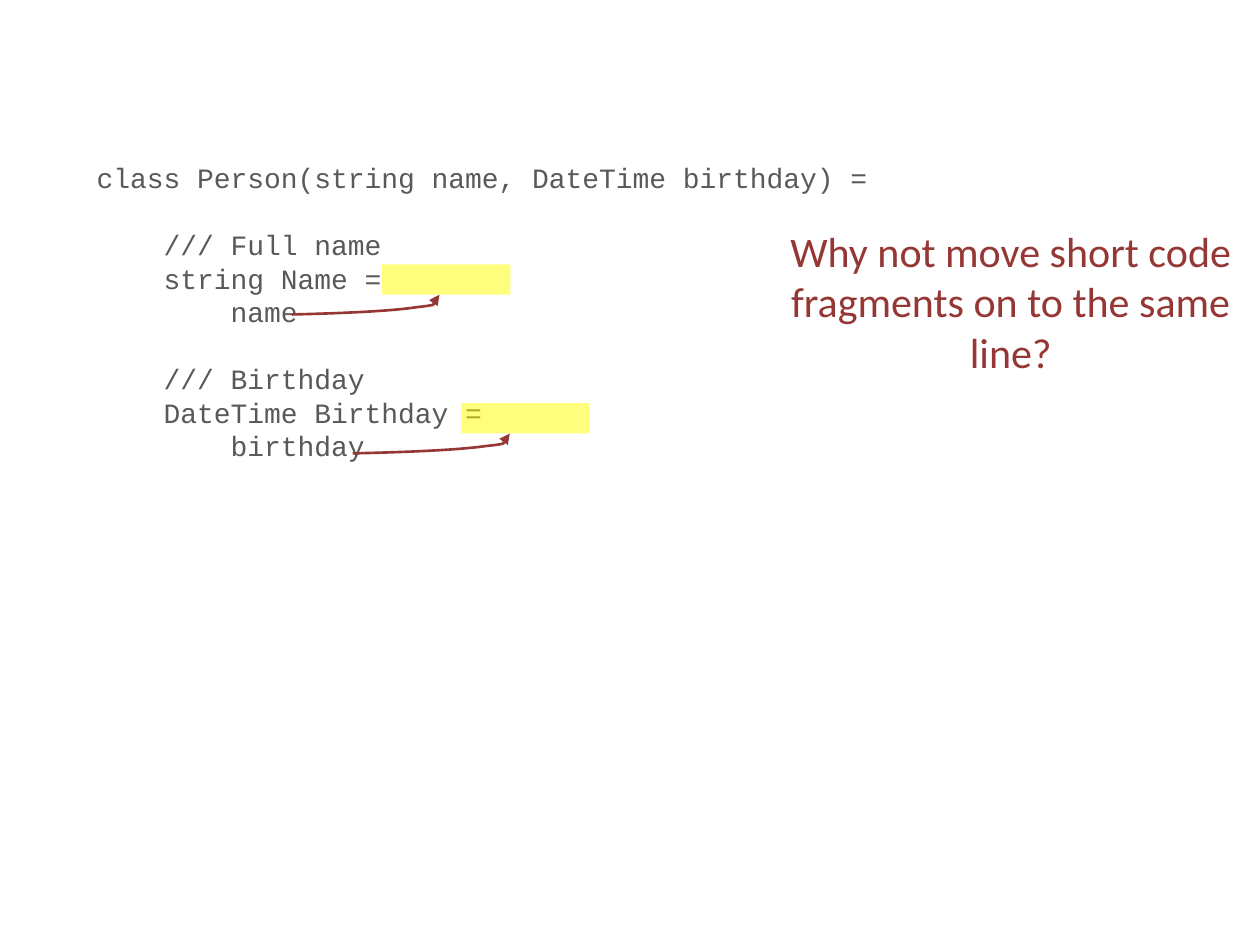
from dataclasses import dataclass

from lxml.etree import SubElement
from pptx import Presentation
from pptx.dml.color import RGBColor
from pptx.enum.shapes import MSO_SHAPE as ShapeKind
from pptx.enum.text import MSO_AUTO_SIZE as AutoSize, PP_ALIGN as Align
from pptx.oxml.ns import qn
from pptx.util import Cm, Pt

CODE_COLOUR = "595959"
ACCENT = "953735"
HIGHLIGHT = "FFFF00"
LINE_HEIGHT = 19.15
INDENT = 1.35
BAR_WIDTH, BAR_HEIGHT = 2.59, 0.61
ARROW_HEIGHT = 0.4
CURVE = [(0, 1), (0.34, 0.94), (0.67, 0.83), (0.84, 0.63),
         (1, 0.5), (0.99, 0), (0.99, 0)]


@dataclass(frozen=True)
class CodeLine:
    """A line of code with its indent level and whether a gap precedes it."""
    text: str
    level: int = 0
    gap: bool = False


@dataclass(frozen=True)
class Move:
    """A highlighted target and the arrow that leads up to it, in centimetres."""
    bar_left: float
    bar_top: float
    arrow_left: float
    arrow_width: float


CODE = [
    CodeLine("class Person(string name, DateTime birthday) ="),
    CodeLine("/// Full name", 1, True),
    CodeLine("string Name =", 1),
    CodeLine("name", 2),
    CodeLine("/// Birthday", 1, True),
    CodeLine("DateTime Birthday =", 1),
    CodeLine("birthday", 2),
]
MOVES = [Move(7.7, 5.33, 5.89, 3), Move(9.3, 8.13, 7.11, 3.2)]


def colour(value: str) -> RGBColor:
    """Turn a hex string into a colour."""
    return RGBColor.from_string(value)


def add_text_frame(slide, left: float, top: float, width: float, height: float):
    """Add a wrapping text box and return its text frame."""
    frame = slide.shapes.add_textbox(Cm(left), Cm(top), Cm(width), Cm(height)).text_frame
    frame.word_wrap = True
    frame.auto_size = AutoSize.SHAPE_TO_FIT_TEXT
    return frame


def add_run(paragraph, text: str, font: str, size: float, hex_colour: str) -> None:
    """Add one formatted run."""
    run = paragraph.add_run()
    run.text = text
    run.font.name = font
    run.font.size = Pt(size)
    run.font.color.rgb = colour(hex_colour)


def add_code(slide, lines: list[CodeLine]) -> None:
    """Add the code listing, one paragraph per line."""
    frame = add_text_frame(slide, 1.7, 3.12, 20.4, 6.4)
    for index, line in enumerate(lines):
        paragraph = frame.add_paragraph() if index else frame.paragraphs[0]
        paragraph.line_spacing = Pt(LINE_HEIGHT)
        paragraph.space_before = Pt(LINE_HEIGHT if line.gap else 0)
        paragraph._p.get_or_add_pPr().set("marL", str(Cm(INDENT * line.level)))
        add_run(paragraph, line.text, "Courier New", 16, CODE_COLOUR)


def add_question(slide) -> None:
    """Add the centred question beside the code."""
    paragraph = add_text_frame(slide, 15.65, 4.42, 9.45, 3.33).paragraphs[0]
    paragraph.alignment = Align.CENTER
    add_run(paragraph, "Why not move short code fragments on to the same line?",
            "Calibri", 24, ACCENT)


def add_arrow(slide, move: Move) -> None:
    """Add a curved arrow that ends under the highlighted bar."""
    top = move.bar_top + BAR_HEIGHT
    points = [(Cm(move.arrow_left + x * move.arrow_width), Cm(top + y * ARROW_HEIGHT))
              for x, y in CURVE]
    builder = slide.shapes.build_freeform(*points[0])
    builder.add_line_segments(points[1:], close=False)
    shape = builder.convert_to_shape()
    shape.shadow.inherit = False
    shape.fill.background()
    shape.line.color.rgb = colour(ACCENT)
    shape.line.width = Pt(1.5)
    SubElement(shape.line._get_or_add_ln(), qn("a:tailEnd"), type="triangle")
    outline = next(shape._element.iter(qn("a:path")))
    segments = outline.findall(qn("a:lnTo"))
    for start in range(0, len(segments), 3):
        curve = SubElement(outline, qn("a:cubicBezTo"))
        for segment in segments[start:start + 3]:
            curve.append(segment[0])
            outline.remove(segment)


def add_bar(slide, move: Move) -> None:
    """Add a translucent highlight bar."""
    shape = slide.shapes.add_shape(ShapeKind.RECTANGLE, Cm(move.bar_left), Cm(move.bar_top),
                                   Cm(BAR_WIDTH), Cm(BAR_HEIGHT))
    shape.shadow.inherit = False
    shape.fill.solid()
    shape.fill.fore_color.rgb = colour(HIGHLIGHT)
    shape.line.fill.background()
    fill = next(shape._element.spPr.iter(qn("a:srgbClr")))
    SubElement(fill, qn("a:alpha"), val="51000")


def main() -> None:
    """Build and save the slide."""
    presentation = Presentation()
    presentation.slide_width, presentation.slide_height = Cm(25.4), Cm(19.05)
    slide = presentation.slides.add_slide(presentation.slide_layouts[6])
    add_code(slide, CODE)
    add_question(slide)
    for draw in (add_arrow, add_bar):
        for move in MOVES:
            draw(slide, move)
    presentation.save("out.pptx")


main()
